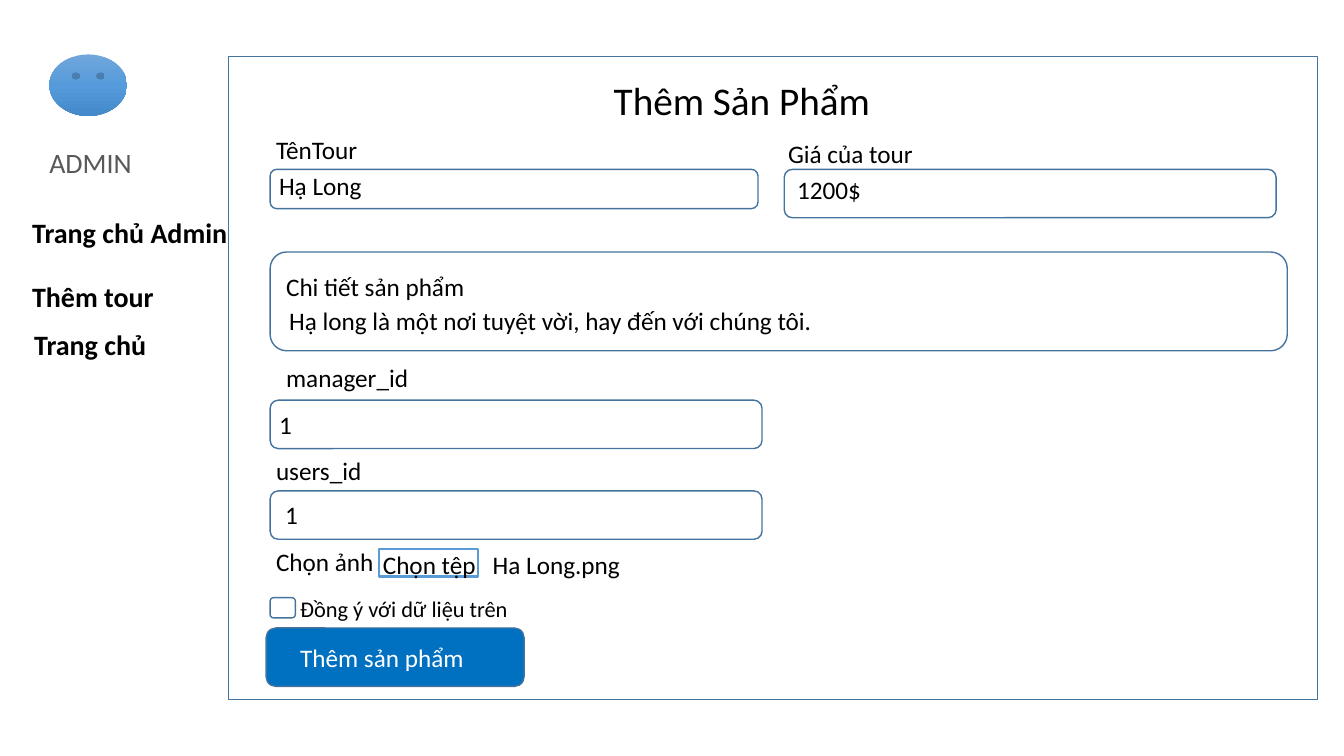
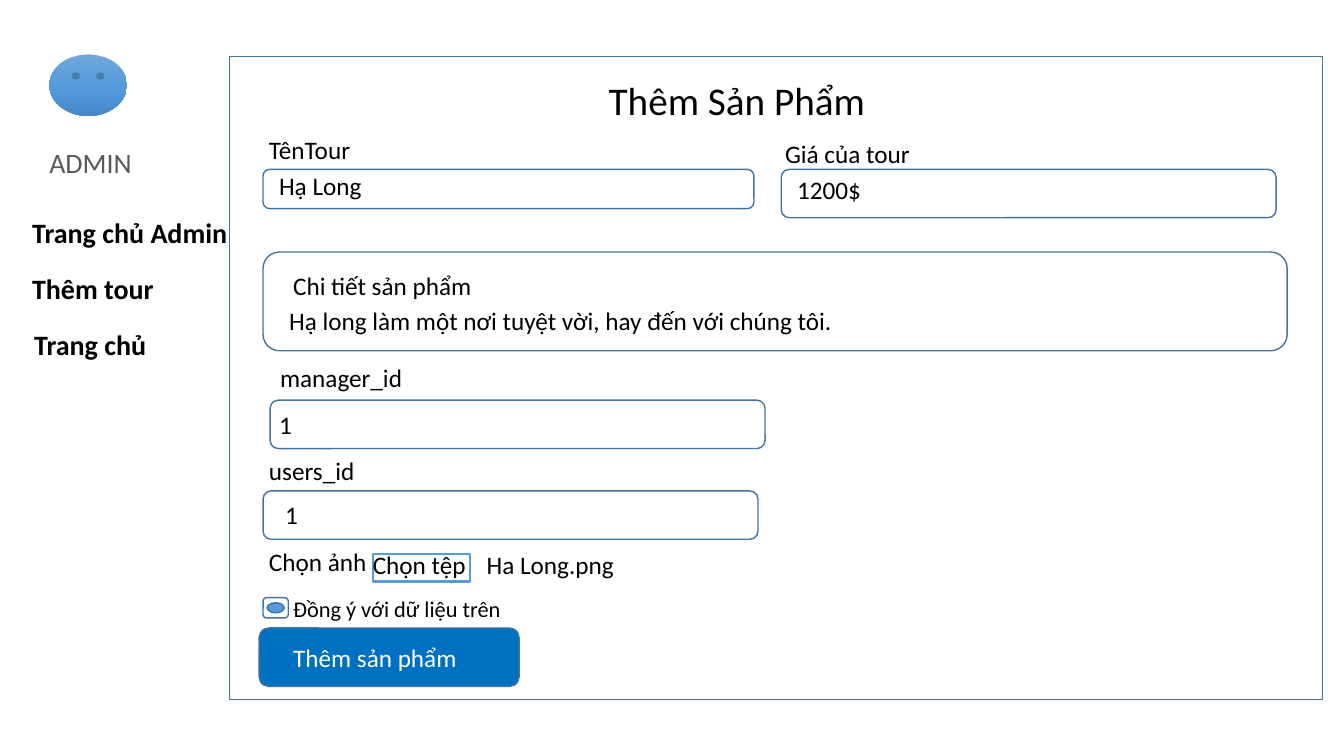
"""Build two states of a tour admin form."""
from copy import deepcopy
from dataclasses import dataclass

from pptx import Presentation
from pptx.dml.color import RGBColor
from pptx.enum.shapes import MSO_SHAPE
from pptx.oxml.ns import qn
from pptx.util import Inches, Pt

RECT = MSO_SHAPE.RECTANGLE
ROUND = MSO_SHAPE.ROUNDED_RECTANGLE
OVAL = MSO_SHAPE.OVAL
FACE = MSO_SHAPE.SMILEY_FACE

UNIT = Inches(0.1)
COLS, ROWS = 133.33, 75
FONT = "Calibri"
BLACK = RGBColor(0x00, 0x00, 0x00)
WHITE = RGBColor(0xFF, 0xFF, 0xFF)
GRAY = RGBColor(0x59, 0x59, 0x59)
EDGE = RGBColor(0x43, 0x73, 0x9E)
BLUE = RGBColor(0x00, 0x70, 0xC0)
SKY = RGBColor(0x5B, 0x9B, 0xD5)
DEEP = RGBColor(0x2E, 0x75, 0xB6)
SHADES = (RGBColor(0x71, 0xA6, 0xDB), RGBColor(0x55, 0x9B, 0xDB),
          RGBColor(0x44, 0x8A, 0xCA))

FIELD = 4.8
PRICE_END, DETAIL_END = 126.6, 127.7


@dataclass
class Form:
    """Hold what differs between forms, in grid columns and rows."""
    panel: tuple
    title: float
    left: float
    wide: float
    button: float
    detail: tuple
    manager: float
    pick: float
    picker: tuple
    file: float
    menu: float
    blurb: str
    ticked: bool


FORMS = (
    Form((22.7, 108), 59.9, 26.8, 48.8, 25.6, (27.4, 26.4), 27.4, 37,
         (37.6, 54.5, 9.8), 47.9, 27.2,
         "Hạ long là một nơi tuyệt vời, hay đến với chúng tôi.", False),
    Form((22.8, 108.4), 59.4, 26.1, 49.1, 25.8, (28.1, 26.3), 26.8, 36,
         (37, 55, 9.6), 47.3, 26.4,
         "Hạ long làm một nơi tuyệt vời, hay đến với chúng tôi.", True),
)


def grid(*cells):
    """Turn grid counts into lengths."""
    return [round(cell * UNIT) for cell in cells]


def box(slide, kind, x, y, w, h, fill=WHITE, line=EDGE, weight=1):
    """Draw a plain shape; no fill or line where None is given."""
    shape = slide.shapes.add_shape(kind, *grid(x, y, w, h))
    shape.shadow.inherit = False
    if fill is None:
        shape.fill.background()
    else:
        shape.fill.solid()
        shape.fill.fore_color.rgb = fill
    if line is None:
        shape.line.fill.background()
    else:
        shape.line.color.rgb = line
        shape.line.width = Pt(weight)
    return shape


def label(slide, text, x, y, w=20, size=18, color=BLACK, bold=False):
    """Write one line of text."""
    frame = slide.shapes.add_textbox(*grid(x, y, w, 4)).text_frame
    frame.word_wrap = True
    para = frame.paragraphs[0]
    para.text = text
    font = para.font
    font.name, font.size, font.bold = FONT, Pt(size), bold
    font.color.rgb = color


def avatar(slide):
    """Draw the shaded face of the user."""
    face = box(slide, FACE, 4.9, 5.4, 7.7, 6.1, line=None)
    face.fill.gradient()
    face.fill.gradient_angle = 270
    stops = face.element.find(".//" + qn("a:gsLst"))
    stops.insert(1, deepcopy(stops[0]))
    for i, (stop, shade) in enumerate(zip(face.fill.gradient_stops, SHADES)):
        stop.color.rgb = shade
        stop.position = i / 2


def side(slide, row):
    """Draw the user and the menu."""
    avatar(slide)
    label(slide, "ADMIN", 3.9, 13.9, 12.2, 20, GRAY)
    for text, x, y in (("Trang chủ Admin", 2.2, 20.9),
                       ("Thêm tour", 2.2, row),
                       ("Trang chủ", 2.4, 32)):
        label(slide, text, x, y, 22, 20, bold=True)


def fields(slide, form):
    """Draw the panel and its input boxes."""
    left, wide = form.left, form.wide
    start, width = form.panel
    box(slide, RECT, start, 5.6, width, 63.8)
    for x, y, w, h in ((left, 16.8, wide - 0.4, 3.9),
                       (PRICE_END - wide, 16.8, wide, FIELD),
                       (left, 25, DETAIL_END - left, 9.8),
                       (26.8, 39.7, wide, FIELD),
                       (left, 48.7, wide, FIELD),
                       (left, 59.3, 2.5, 2)):
        box(slide, ROUND, x, y, w, h)
    box(slide, ROUND, left - 0.4, 62.3, form.button, 5.8, BLUE)
    x, y, w = form.picker
    box(slide, RECT, x, y, w, 2.7, None, SKY, 1.5)
    if form.ticked:
        box(slide, OVAL, left + 0.4, 59.8, 1.7, 1, SKY, DEEP)


def names(slide, form):
    """Write the title and the field names."""
    left = form.left - 0.4
    label(slide, "Thêm Sản Phẩm", form.title, 7.1, 33, 28)
    label(slide, "Thêm sản phẩm", left + 2.4, 63.2, 22, color=WHITE)
    label(slide, "Đồng ý với dữ liệu trên", left + 2.4, 58.6, 27, 16)
    for text, x, y in (("TênTour", left, 12.8),
                       ("Giá của tour", PRICE_END - form.wide - 0.6, 13.2),
                       ("Chi tiết sản phẩm", *form.detail),
                       ("manager_id", form.manager, 35.5),
                       ("users_id", left, 44.7),
                       ("Chọn ảnh", left, 53.7),
                       ("Chọn tệp", form.pick, 54)):
        label(slide, text, x, y)


def values(slide, form):
    """Write what has been entered."""
    for text, x, y, w in (("Hạ Long", 26.7, 16.4, 40.9),
                          ("1200$", 78.1, 16.8, 44.4),
                          (form.blurb, 27.7, 29.8, 87.3),
                          ("1", 26.7, 40.1, 44.4),
                          ("1", 27.3, 49, 44.4),
                          ("Ha Long.png", form.file, 54, 19)):
        label(slide, text, x, y, w)


def main():
    """Build and save the deck."""
    deck = Presentation()
    deck.slide_width, deck.slide_height = grid(COLS, ROWS)
    for form in FORMS:
        slide = deck.slides.add_slide(deck.slide_layouts[6])
        fields(slide, form)
        side(slide, form.menu)
        names(slide, form)
        values(slide, form)
    deck.save("out.pptx")


if __name__ == "__main__":
    main()
